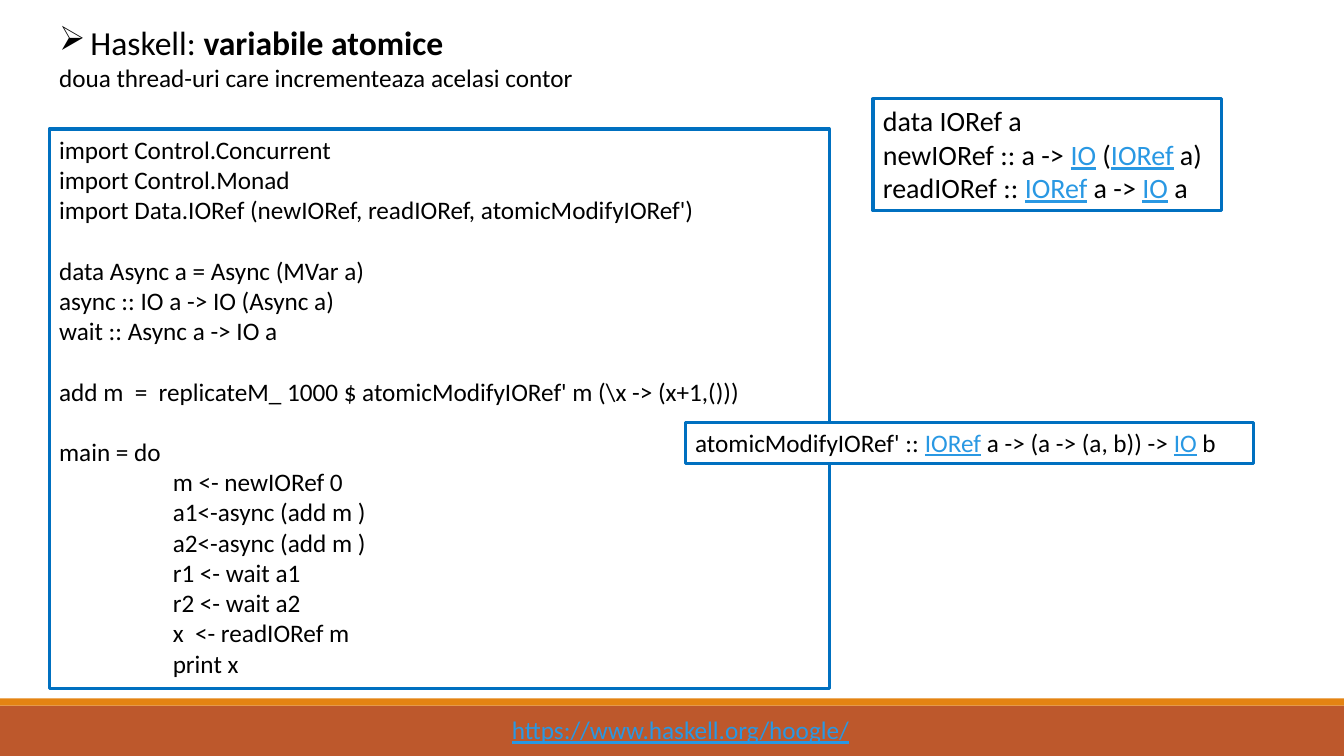
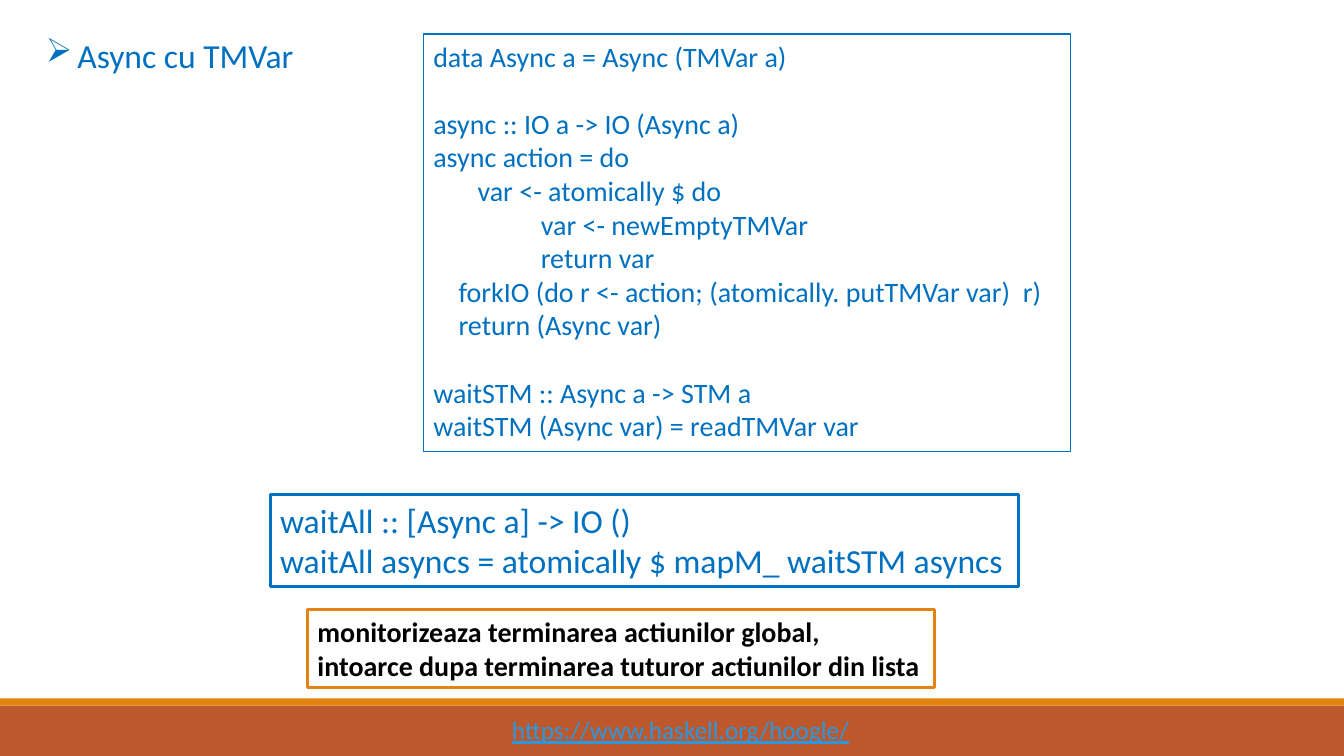
from lxml import etree
from pptx import Presentation
from pptx import util as u
from pptx.dml.color import RGBColor
from pptx.enum import shapes, text
from pptx.oxml.ns import qn

BLACK, WHITE, BLUE = "000000", "FFFFFF", "0070C0"
ORANGE, RUST, LINK_BLUE = "E48312", "BD582C", "2998E3"
WIDTH, HEIGHT = 33.87, 19.05

ATOMIC_COUNTER = r"""import Control.Concurrent
import Control.Monad
import Data.IORef (newIORef, readIORef, atomicModifyIORef')

data Async a = Async (MVar a)
async :: IO a -> IO (Async a)
wait :: Async a -> IO a

add m  =  replicateM_ 1000 $ atomicModifyIORef' m (\x -> (x+1,()))

main = do
                    m <- newIORef 0
                    a1<-async (add m )
                    a2<-async (add m )
                    r1 <- wait a1
                    r2 <- wait a2
                    x  <- readIORef m
                    print x"""

ASYNC_TMVAR = """data Async a = Async (TMVar a)

async :: IO a -> IO (Async a)
async action = do
       var <- atomically $ do
                 var <- newEmptyTMVar
                 return var
    forkIO (do r <- action; (atomically. putTMVar var)  r)
    return (Async var)

waitSTM :: Async a -> STM a
waitSTM (Async var) = readTMVar var"""


def rgb(value):
    return RGBColor.from_string(value)


def styled(words, **style):
    return words, style


def link(words):
    return styled(words, color=LINK_BLUE, underline=True)


def add_bullet(paragraph):
    properties = paragraph._p.get_or_add_pPr()
    indent = u.Cm(0.79)
    properties.set("marL", str(indent))
    properties.set("indent", str(-indent))
    etree.SubElement(properties, qn("a:buChar")).set("char", "➢")


def write(frame, lines, size=18, color=BLACK, bold=False, bullet=False):
    gap = 0
    first = True
    for line in lines:
        if not line:
            gap += 1.2 * size
            continue
        paragraph = frame.paragraphs[0] if first else frame.add_paragraph()
        if bullet and first:
            add_bullet(paragraph)
        if gap:
            paragraph.space_before = u.Pt(gap)
        first, gap = False, 0
        for part in [line] if isinstance(line, str) else line:
            words, style = styled(part) if isinstance(part, str) else part
            run = paragraph.add_run()
            run.text = words
            font = run.font
            font.name = "Calibri"
            font.size = u.Pt(style.get("size", size))
            font.bold = style.get("bold", bold)
            font.underline = style.get("underline", False)
            font.color.rgb = rgb(style.get("color", color))


class Deck:
    def __init__(self):
        self.presentation = Presentation()
        self.presentation.slide_width = u.Cm(WIDTH)
        self.presentation.slide_height = u.Cm(HEIGHT)
        self.slide = None

    def new_slide(self):
        self.slide = self.presentation.slides.add_slide(self.presentation.slide_layouts[6])
        self.band(17.78, 1.27, RUST)
        self.band(17.6, 0.18, ORANGE)
        self.label(12.65, 17.88, 9.12, 1.02, [[link("https://www.haskell.org/hoogle/")]], wrap=False)

    def band(self, top, height, color):
        band = self.slide.shapes.add_shape(
            shapes.MSO_SHAPE.RECTANGLE, 0, u.Cm(top), u.Cm(WIDTH), u.Cm(height))
        band.shadow.inherit = False
        band.fill.solid()
        band.fill.fore_color.rgb = rgb(color)
        band.line.fill.background()

    def label(self, left, top, width, height, lines, wrap=True, **style):
        label = self.slide.shapes.add_textbox(*map(u.Cm, (left, top, width, height)))
        label.text_frame.word_wrap = wrap
        label.text_frame.vertical_anchor = text.MSO_ANCHOR.TOP
        write(label.text_frame, lines, **style)
        return label

    def framed(self, *place, border=BLUE, weight=2.25, fill=None, **style):
        frame = self.label(*place, **style)
        frame.line.color.rgb = rgb(border)
        frame.line.width = u.Pt(weight)
        if fill:
            frame.fill.solid()
            frame.fill.fore_color.rgb = rgb(fill)

    def heading(self, *place, **style):
        self.label(*place, size=24, bullet=True, **style)


def atomic_variables(deck):
    deck.new_slide()
    deck.framed(1.24, 3.25, 19.66, 14.1, ATOMIC_COUNTER.split("\n"))
    deck.framed(22, 2.49, 8.79, 2.82, [
        "data IORef a",
        ["newIORef :: a -> ", link("IO"), " (", link("IORef"), " a)"],
        ["readIORef :: ", link("IORef"), " a -> ", link("IO"), " a"],
    ], wrap=False, size=20)
    deck.framed(17.27, 10.64, 14.33, 1.04, [
        ["atomicModifyIORef' :: ", link("IORef"), " a -> (a -> (a, b)) -> ", link("IO"), " b"],
    ], fill=WHITE)
    deck.heading(1.24, 0.43, 23.52, 2.06, [
        ["Haskell: ", styled("variabile atomice", bold=True)],
        [styled("doua thread-uri care incrementeaza acelasi contor", size=18)],
    ])


def async_with_tmvar(deck):
    deck.new_slide()
    deck.framed(10.67, 0.86, 16.31, 10.52, ASYNC_TMVAR.split("\n"),
                weight=1, size=20, color=BLUE)
    deck.heading(0.91, 0.75, 6.81, 1.27, ["Async cu TMVar"], wrap=False, color=BLUE)
    deck.framed(6.81, 12.47, 18.87, 2.31, [
        "waitAll :: [Async a] -> IO ()",
        "waitAll asyncs = atomically $ mapM_ waitSTM asyncs",
    ], wrap=False, size=24, color=BLUE)
    deck.framed(7.75, 15.37, 15.8, 1.96, [
        "monitorizeaza terminarea actiunilor global,",
        "intoarce dupa terminarea tuturor actiunilor din lista",
    ], border=ORANGE, wrap=False, size=20, bold=True)


def main():
    deck = Deck()
    atomic_variables(deck)
    async_with_tmvar(deck)
    deck.presentation.save("out.pptx")


if __name__ == "__main__":
    main()
